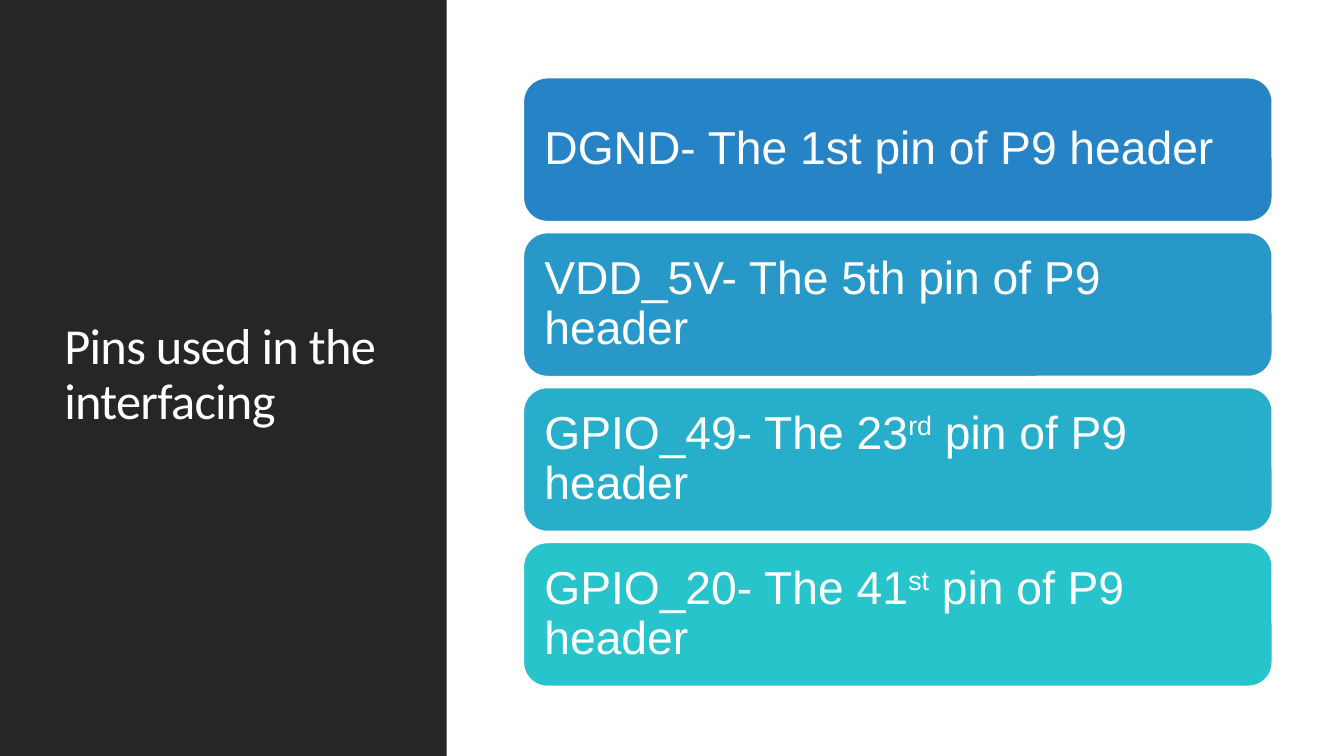
from pptx import Presentation
from pptx.dml.color import RGBColor
from pptx.enum import shapes, text
from pptx.util import Inches, Pt

TITLE = "Pins used in the interfacing"
# Fill colour and text pieces; every second piece is superscript
PINS = [
    ("2683C6", ["DGND- The 1st pin of P9 header"]),
    ("2798C8", ["VDD_5V- The 5th pin of P9 header"]),
    ("27AECA", ["GPIO_49- The 23", "rd", " pin of P9 header"]),
    ("28C4CC", ["GPIO_20- The 41", "st", " pin of P9 header"]),
]
WHITE, DARK = "FFFFFF", "262626"
CARD_LEFT, CARD_TOP, CARD_WIDTH, CARD_HEIGHT = 5.19, 0.77, 7.43, 1.43
CARD_STEP = 1.537


def color(value):
    return RGBColor.from_string(value)


def add_block(slide, kind, left, top, width, height, fill, line=None):
    shape = slide.shapes.add_shape(
        kind, Inches(left), Inches(top), Inches(width), Inches(height))
    shape.shadow.inherit = False
    shape.fill.solid()
    shape.fill.fore_color.rgb = color(fill)
    if line:
        shape.line.color.rgb = color(line)
        shape.line.width = Pt(1.25)
    else:
        shape.line.fill.background()
    return shape


def write(shape, pieces, font, size, margin, spacing=None):
    """Fill a shape with one left-aligned paragraph, odd pieces raised."""
    frame = shape.text_frame
    frame.word_wrap = True
    frame.vertical_anchor = text.MSO_ANCHOR.MIDDLE
    frame.margin_left = frame.margin_right = Inches(margin)
    frame.margin_top = frame.margin_bottom = Inches(margin)
    paragraph = frame.paragraphs[0]
    paragraph.alignment = text.PP_ALIGN.LEFT
    paragraph.line_spacing = 0.9
    for index, piece in enumerate(pieces):
        run = paragraph.add_run()
        run.text = piece
        run.font.name = font
        run.font.size = Pt(size)
        run.font.color.rgb = color(WHITE)
        properties = run.font._element
        if index % 2:
            properties.set("baseline", "30000")
        if spacing:
            properties.set("spc", str(int(spacing * 100)))


def main():
    presentation = Presentation()
    presentation.slide_width = Inches(13.33)
    presentation.slide_height = Inches(7.5)
    slide = presentation.slides.add_slide(presentation.slide_layouts[6])

    add_block(slide, shapes.MSO_SHAPE.RECTANGLE, 0, 0, 4.43, 7.5, DARK)
    title = slide.shapes.add_textbox(
        Inches(0.54), Inches(0.57), Inches(3.37), Inches(6.31))
    write(title, [TITLE], "Calibri", 36, margin=0.1, spacing=-0.5)

    for row, (fill, pieces) in enumerate(PINS):
        card = add_block(
            slide, shapes.MSO_SHAPE.ROUNDED_RECTANGLE, CARD_LEFT,
            CARD_TOP + row * CARD_STEP, CARD_WIDTH, CARD_HEIGHT, fill, WHITE)
        write(card, pieces, "Arial", 33, margin=0.14)

    presentation.save("out.pptx")


if __name__ == "__main__":
    main()
